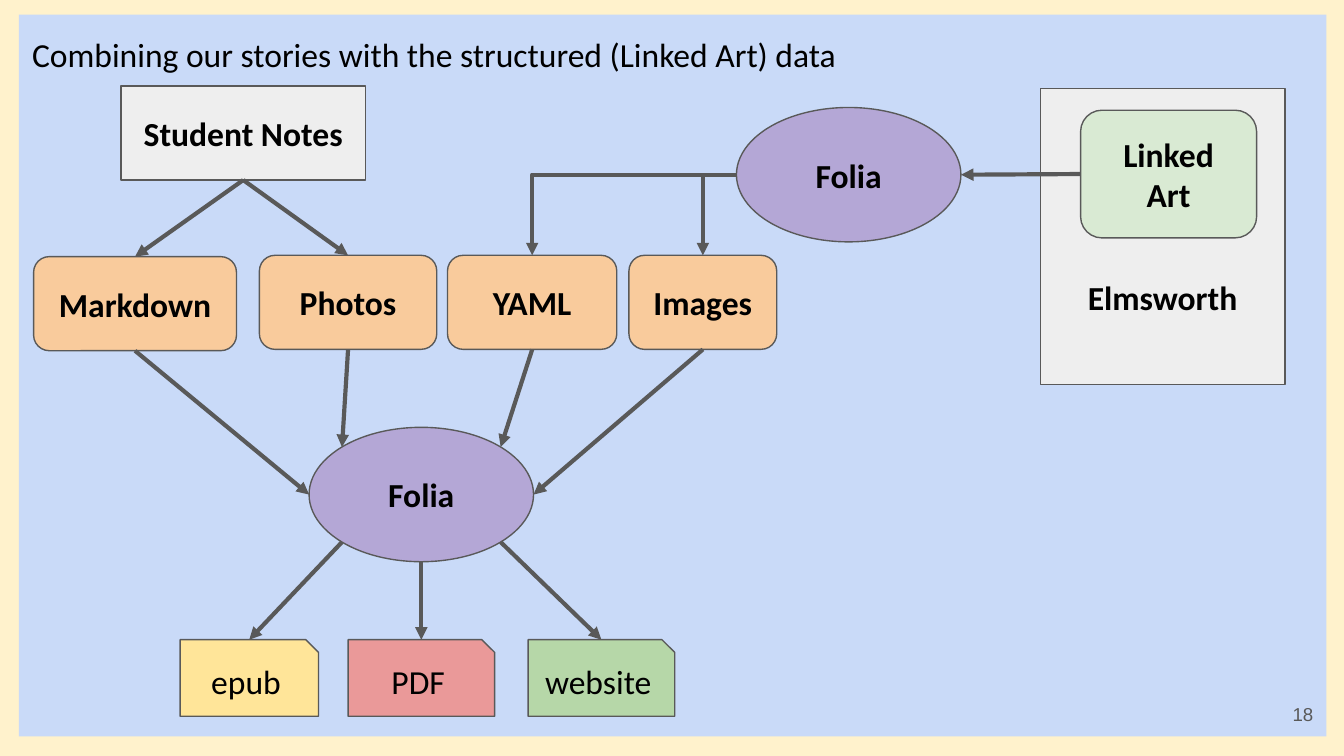
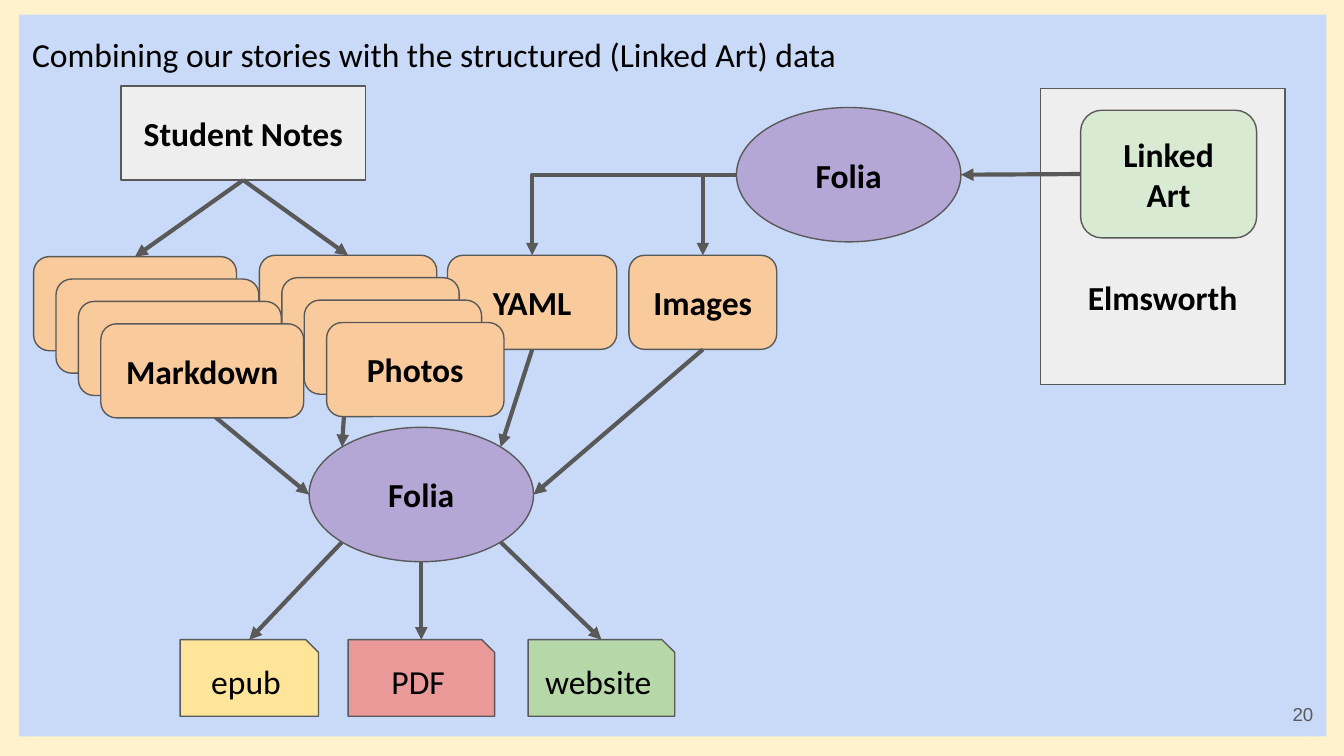
from math import cos, radians, sin

from lxml import etree
from pptx import Presentation
from pptx.dml.color import RGBColor
from pptx.enum.shapes import MSO_CONNECTOR, MSO_SHAPE
from pptx.enum.text import MSO_ANCHOR, PP_ALIGN
from pptx.oxml.ns import qn
from pptx.util import Inches, Pt

RECT = MSO_SHAPE.RECTANGLE
ROUND = MSO_SHAPE.ROUNDED_RECTANGLE
OVAL = MSO_SHAPE.OVAL
SNIP = MSO_SHAPE.SNIP_1_RECTANGLE
STRAIGHT = MSO_CONNECTOR.STRAIGHT
ELBOW = MSO_CONNECTOR.ELBOW
LEFT, CENTER, RIGHT = PP_ALIGN.LEFT, PP_ALIGN.CENTER, PP_ALIGN.RIGHT
TOP, MIDDLE = MSO_ANCHOR.TOP, MSO_ANCHOR.MIDDLE

COLORS = {
    "frame": "FFF2CC", "panel": "C9DAF8", "line": "595959", "text": "000000",
    "source": "EEEEEE", "linked": "D9EAD3", "tool": "B4A7D6", "file": "F9CB9C",
    "epub": "FFE599", "pdf": "EA9999", "website": "B6D7A8",
}
BOTTOM_SITE, LEFT_SITE, TOP_SITE = 2, 1, 0
TITLE = "Combining our stories with the structured (Linked Art) data"
FILE_H = 0.7
MARKDOWN = ("Markdown", 0.25, 1.91, 1.51)
PHOTOS = ("Photos", 1.93, 1.9, 1.32)
STACK_STEP = 1 / 6


def color(name):
    return RGBColor.from_string(COLORS[name])


def rim(oval, degrees):
    angle = radians(degrees)
    return (int(oval.left + oval.width * (1 + cos(angle)) / 2),
            int(oval.top + oval.height * (1 + sin(angle)) / 2))


def side(sp, site):
    x = sp.left if site == LEFT_SITE else sp.left + sp.width // 2
    y = {TOP_SITE: sp.top, LEFT_SITE: sp.top + sp.height // 2,
         BOTTOM_SITE: sp.top + sp.height}[site]
    return x, y


class Deck:
    def __init__(self):
        self.prs = Presentation()
        self.prs.slide_width = Inches(10)
        self.prs.slide_height = Inches(10 * 9 / 16)
        self.s = None

    def slide(self, number):
        self.s = self.prs.slides.add_slide(self.prs.slide_layouts[6])
        fill = self.s.background.fill
        fill.solid()
        fill.fore_color.rgb = color("frame")
        panel = self.shape(RECT, TITLE, 0.14, 0.11, 9.73, 5.37, "panel",
                           outline=False, bold=False, align=LEFT, anchor=TOP)
        p = panel.text_frame.paragraphs[0]
        for key, value in {"line_spacing": 1.15, "space_after": Pt(12)}.items():
            setattr(p, key, value)
        box = self.s.shapes.add_textbox(Inches(9.27), Inches(5.1), Inches(0.6), Inches(0.43))
        self.text(box, str(number), 10, "Arial", "line", False, RIGHT, MIDDLE)

    def text(self, sp, text, size=18, font="Calibri", ink="text", bold=True,
             align=CENTER, anchor=MIDDLE):
        tf = sp.text_frame
        frame = {"word_wrap": True, "vertical_anchor": anchor}
        for edge in ("left", "top", "right", "bottom"):
            frame["margin_" + edge] = Inches(0.1)
        for key, value in frame.items():
            setattr(tf, key, value)
        p = tf.paragraphs[0]
        p.alignment = align
        r = p.add_run()
        r.text = text
        for key, value in {"size": Pt(size), "name": font, "bold": bold}.items():
            setattr(r.font, key, value)
        r.font.color.rgb = color(ink)

    def shape(self, kind, text, x, y, w, h, fill, outline=True, **style):
        sp = self.s.shapes.add_shape(kind, Inches(x), Inches(y), Inches(w), Inches(h))
        sp.shadow.inherit = False
        sp.fill.solid()
        sp.fill.fore_color.rgb = color(fill)
        if outline:
            sp.line.color.rgb = color("line")
            sp.line.width = Pt(0.75)
        else:
            sp.line.fill.background()
        self.text(sp, text, **style)
        return sp

    def file(self, text, x, y, w):
        return self.shape(ROUND, text, x, y, w, FILE_H, "file")

    def arrow(self, start, end, kind=STRAIGHT):
        c = self.s.shapes.add_connector(kind, *start, *end)
        c.line.color.rgb = color("line")
        c.line.width = Pt(2.25)
        sp_pr = c._element.spPr
        etree.SubElement(sp_pr.find(qn("a:ln")), qn("a:tailEnd"), type="triangle")
        etree.SubElement(sp_pr, qn("a:effectLst"))
        if kind == ELBOW:
            sp_pr.find(qn("a:prstGeom")).set("prst", "bentConnector2")
        return c

    def arrow_from(self, sp, site, end):
        c = self.arrow(side(sp, site), end)
        c.begin_connect(sp, site)
        return c

    def workflow(self):
        museum = self.shape(RECT, "Elmsworth", 7.74, 0.66, 1.82, 2.2, "source")
        museum.text_frame.margin_top = Inches(1)
        linked = self.shape(ROUND, "Linked Art", 8.04, 0.82, 1.31, 0.95, "linked")
        importer = self.shape(OVAL, "Folia", 5.48, 0.8, 1.67, 1, "tool")
        notes = self.shape(RECT, "Student Notes", 0.9, 0.64, 1.82, 0.7, "source")
        yaml = self.file("YAML", 3.33, 1.9, 1.26)
        markdown = self.file(*MARKDOWN)
        images = self.file("Images", 4.68, 1.9, 1.1)
        photos = self.file(*PHOTOS)
        publisher = self.shape(OVAL, "Folia", 2.3, 3.18, 1.67, 1, "tool")

        for sp in (markdown, photos):
            c = self.arrow_from(notes, BOTTOM_SITE, side(sp, TOP_SITE))
            c.end_connect(sp, TOP_SITE)
        for sp, degrees in ((photos, 225), (markdown, 180), (yaml, 315), (images, 0)):
            self.arrow_from(sp, BOTTOM_SITE, rim(publisher, degrees))
        self.arrow_from(linked, LEFT_SITE, rim(importer, 0))

        for text, x, w, fill, degrees in (
            ("epub", 1.34, 1.03, "epub", 135),
            ("PDF", 2.59, 1.09, "pdf", 90),
            ("website", 3.93, 1.09, "website", 45),
        ):
            sp = self.shape(SNIP, text, x, 4.76, w, 0.57, fill, bold=False)
            self.arrow(rim(publisher, degrees), side(sp, TOP_SITE))
        for sp in (yaml, images):
            self.arrow(rim(importer, 180), side(sp, TOP_SITE), ELBOW)

    def stacks(self, copies):
        for i in range(1, copies + 1):
            for text, x, y, w in (MARKDOWN, PHOTOS):
                self.file(text, x + i * STACK_STEP, y + i * STACK_STEP, w)


def main():
    deck = Deck()
    for number, copies in ((18, 0), (20, 3)):
        deck.slide(number)
        deck.workflow()
        deck.stacks(copies)
    deck.prs.save("out.pptx")


if __name__ == "__main__":
    main()
